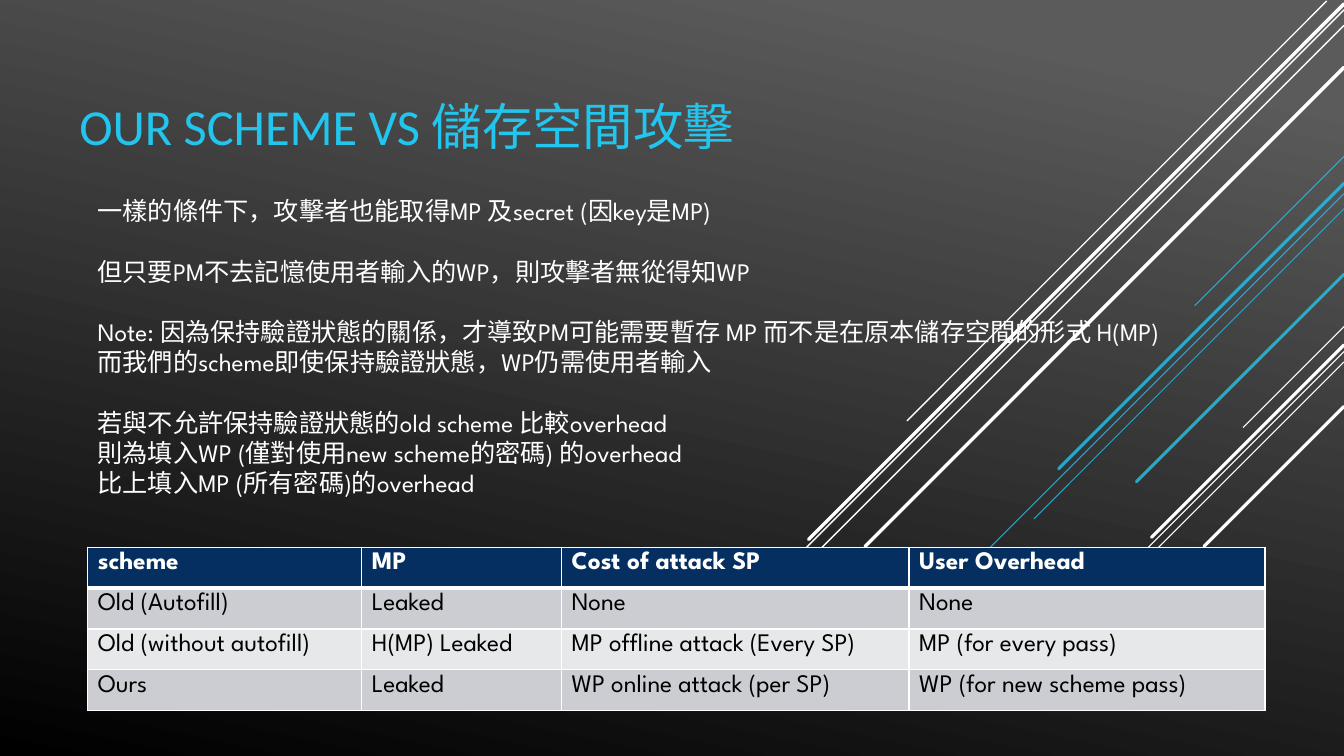
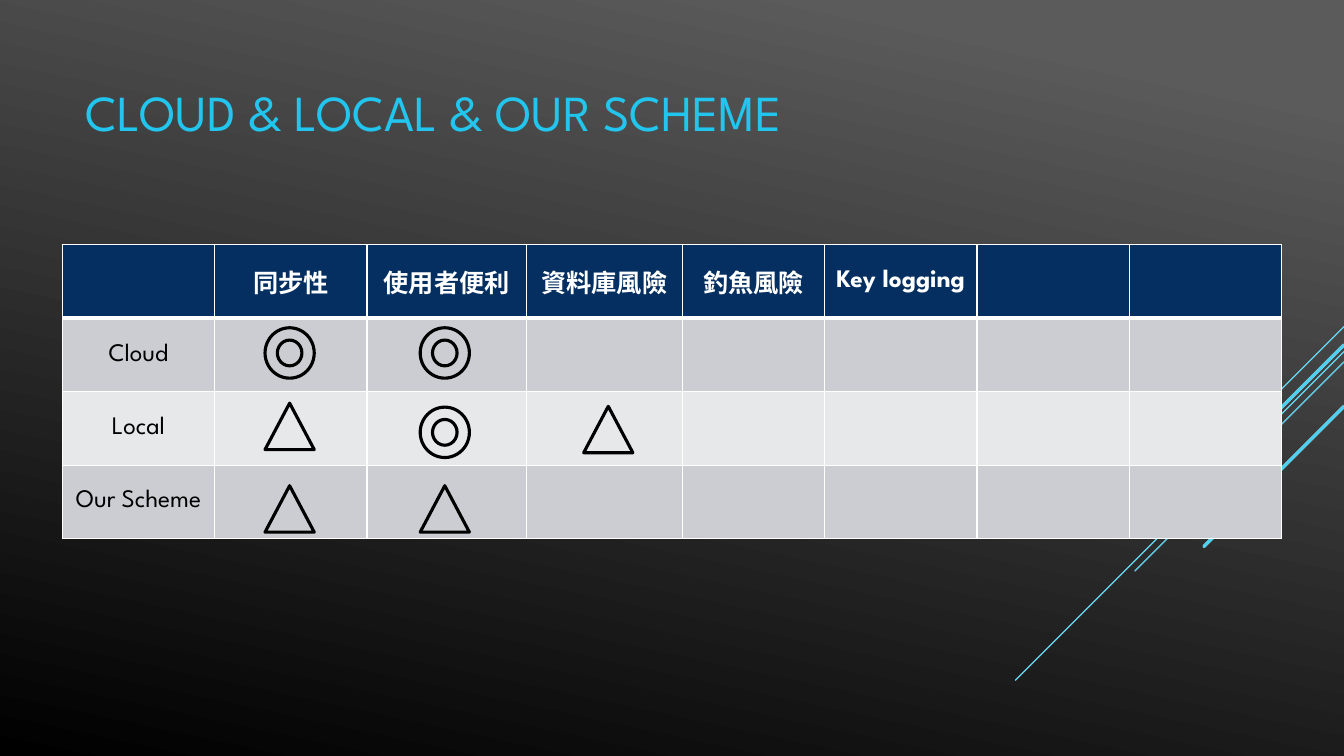
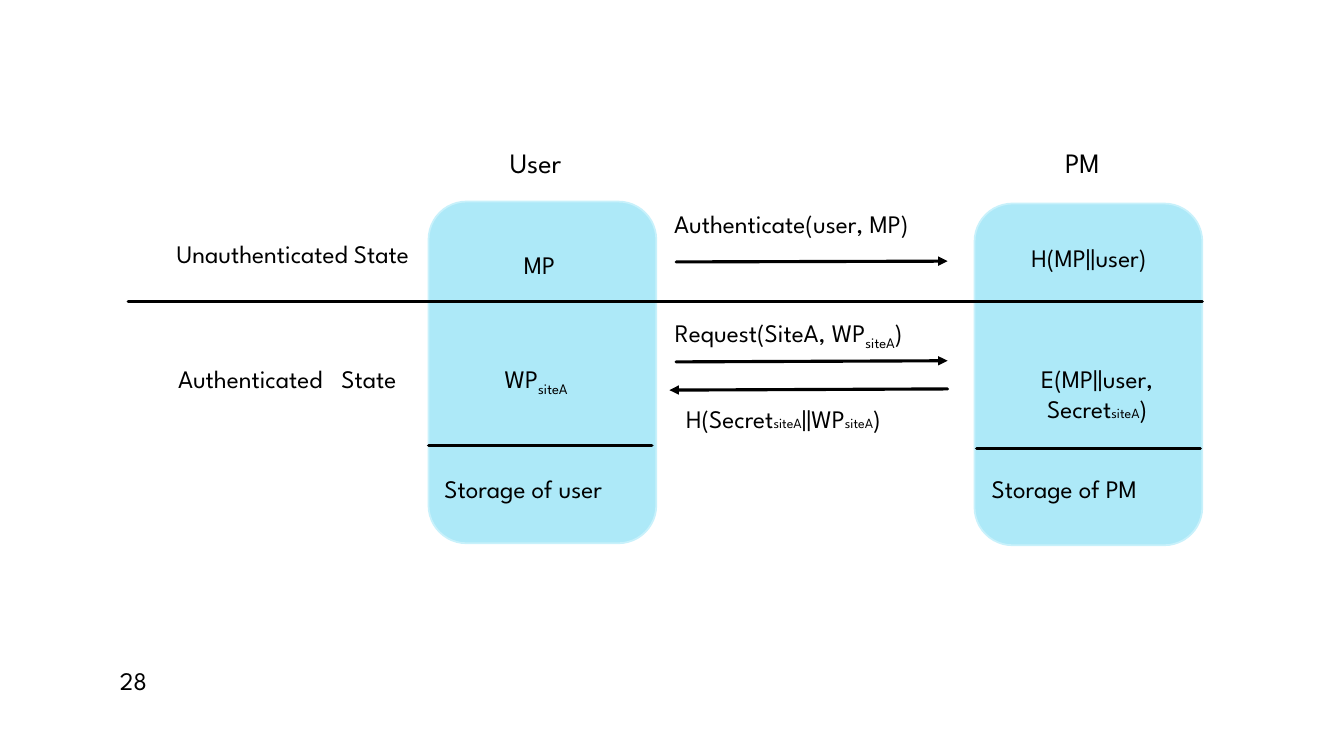
"""Build three slides on a password manager scheme: two comparison tables and a protocol diagram."""
from dataclasses import dataclass
from typing import Any, NamedTuple

from lxml import etree
from pptx import Presentation
from pptx.dml.color import RGBColor
from pptx.enum.shapes import MSO_CONNECTOR, MSO_SHAPE
from pptx.enum.text import MSO_ANCHOR, PP_ALIGN
from pptx.oxml.ns import qn
from pptx.slide import Slide
from pptx.util import Cm, Pt

STRAIGHT = MSO_CONNECTOR.STRAIGHT
DONUT, TRIANGLE = MSO_SHAPE.DONUT, MSO_SHAPE.ISOSCELES_TRIANGLE
ROUNDED = MSO_SHAPE.ROUNDED_RECTANGLE
LEFT, CENTER, RIGHT = PP_ALIGN.LEFT, PP_ALIGN.CENTER, PP_ALIGN.RIGHT
TOP, MIDDLE, BOTTOM = MSO_ANCHOR.TOP, MSO_ANCHOR.MIDDLE, MSO_ANCHOR.BOTTOM

SLIDE_WIDTH, SLIDE_HEIGHT = 33.87, 19.05


@dataclass(frozen=True)
class Theme:
    accent: RGBColor = RGBColor(0x22, 0xC5, 0xED)
    white: RGBColor = RGBColor(0xFF, 0xFF, 0xFF)
    black: RGBColor = RGBColor(0x00, 0x00, 0x00)
    smoke: RGBColor = RGBColor(0x5B, 0x5B, 0x5B)
    header: RGBColor = RGBColor(0x05, 0x2F, 0x61)
    bands: tuple[RGBColor, ...] = (RGBColor(0xCC, 0xCD, 0xD2), RGBColor(0xE7, 0xE8, 0xEA))
    storage: RGBColor = RGBColor(0xAD, 0xE9, 0xF8)
    storage_edge: RGBColor = RGBColor(0xC8, 0xF1, 0xFB)
    font: str = "League Spartan"
    title_font: str = "Calibri"
    title: float = 36
    heading: float = 20
    body: float = 18
    small: float = 10
    stroke: float = 2.25


THEME = Theme()


class Box(NamedTuple):
    left: float
    top: float
    width: float
    height: float

    def lengths(self) -> list[Cm]:
        return [Cm(value) for value in self]


class Ray(NamedTuple):
    top: float
    reach: float
    width: float
    right: float = SLIDE_WIDTH


class Stroke(NamedTuple):
    x1: float
    y1: float
    x2: float
    y2: float
    arrow: bool = False


class Piece(NamedTuple):
    text: str
    size: float = THEME.body
    extras: dict[str, str] = {}


class Line(NamedTuple):
    pieces: list[Piece]
    gap: float = 0


class Mark(NamedTuple):
    kind: Any
    left: float
    top: float


@dataclass(frozen=True)
class Label:
    box: Box
    lines: list[Line]
    align: Any = LEFT
    color: RGBColor = THEME.black
    font: str = THEME.font
    anchor: Any = TOP
    bottom_inset: float = 0.13


@dataclass(frozen=True)
class Grid:
    left: float
    top: float
    row_height: float
    columns: list[float]
    rows: list[list[str]]
    align: Any = LEFT
    anchor: Any = TOP


def apply(target: Any, formats: dict[str, Any]) -> None:
    for name, value in formats.items():
        setattr(target, name, value)


def label(box: Box, *pieces: Piece, align: Any = LEFT) -> Label:
    return Label(box, [Line(list(pieces))], align)


def sub(text: str) -> Piece:
    return Piece(text, extras={"baseline": "-25000"})


def draw_label(slide: Slide, item: Label) -> None:
    frame = slide.shapes.add_textbox(*item.box.lengths()).text_frame
    apply(frame, {"word_wrap": True, "vertical_anchor": item.anchor,
                  "margin_bottom": Cm(item.bottom_inset)})
    for index, line in enumerate(item.lines):
        paragraph = frame.add_paragraph() if index else frame.paragraphs[0]
        apply(paragraph, {"alignment": item.align, "space_before": Pt(line.gap)})
        for piece in line.pieces:
            run = paragraph.add_run()
            run.text = piece.text
            apply(run.font, {"name": item.font, "size": Pt(piece.size)})
            run.font.color.rgb = item.color
            for name, value in piece.extras.items():
                run._r.get_or_add_rPr().set(name, value)


def draw_title(slide: Slide, text: str, box: Box, font: str, anchor: Any, inset: float) -> None:
    draw_label(slide, Label(box, [Line([Piece(text, THEME.title)])], LEFT,
                            THEME.accent, font, anchor, inset))


def draw_stroke(slide: Slide, stroke: Stroke, color: RGBColor = THEME.black,
                width: float = THEME.stroke, opacity: int = 100) -> None:
    ends = [Cm(value) for value in stroke[:4]]
    connector = slide.shapes.add_connector(STRAIGHT, *ends)
    connector.line.color.rgb = color
    connector.line.width = Pt(width)
    properties = connector._element.spPr
    outline = properties.find(qn("a:ln"))
    outline.set("cap", "rnd")
    if opacity < 100:
        tint = outline.find(f".//{qn('a:srgbClr')}")
        etree.SubElement(tint, qn("a:alpha"), val=str(opacity * 1000))
    if stroke.arrow:
        etree.SubElement(outline, qn("a:tailEnd"), type="triangle")
    etree.SubElement(properties, qn("a:effectLst"))


def draw_rays(slide: Slide, rays: list[Ray], color: RGBColor, opacity: int = 100) -> None:
    for ray in rays:
        diagonal = Stroke(ray.right, ray.top, ray.right - ray.reach, ray.top + ray.reach)
        draw_stroke(slide, diagonal, color, ray.width, opacity)


def draw_shape(slide: Slide, kind: Any, box: Box, edge: RGBColor, width: float,
               fill: RGBColor | None = None) -> None:
    shape = slide.shapes.add_shape(kind, *box.lengths())
    shape.shadow.inherit = False
    if fill is None:
        shape.fill.background()
    else:
        shape.fill.solid()
        shape.fill.fore_color.rgb = fill
    shape.line.color.rgb = edge
    shape.line.width = Pt(width)


def draw_borders(cell: Any, widths: dict[str, float]) -> None:
    properties = cell._tc.get_or_add_tcPr()
    for side, width in widths.items():
        border = etree.SubElement(properties, qn(f"a:ln{side}"), w=str(Pt(width)))
        paint = etree.SubElement(border, qn("a:solidFill"))
        etree.SubElement(paint, qn("a:srgbClr"), val=str(THEME.white))


def draw_grid(slide: Slide, grid: Grid) -> None:
    box = Box(grid.left, grid.top, sum(grid.columns), grid.row_height * len(grid.rows))
    table = slide.shapes.add_table(len(grid.rows), len(grid.columns), *box.lengths()).table
    for column, width in zip(table.columns, grid.columns):
        column.width = Cm(width)
    for index, texts in enumerate(grid.rows):
        table.rows[index].height = Cm(grid.row_height)
        is_header = index == 0
        fill = THEME.header if is_header else THEME.bands[(index - 1) % 2]
        widths = {"L": 1, "R": 1, "T": 3 if index == 1 else 1, "B": 3 if is_header else 1}
        for position, text in enumerate(texts):
            cell = table.cell(index, position)
            draw_borders(cell, widths)
            cell.fill.solid()
            cell.fill.fore_color.rgb = fill
            cell.vertical_anchor = grid.anchor
            if text:
                paragraph = cell.text_frame.paragraphs[0]
                paragraph.alignment = grid.align
                run = paragraph.add_run()
                run.text = text
                apply(run.font, {"name": THEME.font, "size": Pt(THEME.body), "bold": is_header})
                run.font.color.rgb = THEME.white if is_header else THEME.black


CORNER_RAYS = [Ray(8.23, 2.54, 0.75), Ray(8.86, 8.28, 0.75), Ray(9.12, 5.27, 0.75),
               Ray(8.69, 4.85, 2.25), Ray(10.24, 3.53, 2.25)]
UPPER_RAYS = [Ray(0.03, 10.57, 1, 33.43), Ray(0.25, 16.89, 1), Ray(0.64, 13.77, 1),
              Ray(0.1, 13.49, 2.5), Ray(1.7, 12.07, 2.5)]
MIDDLE_RAYS = [Ray(3.94, 3.76, 0.75), Ray(4.88, 12.27, 0.75), Ray(5.26, 7.81, 0.75),
               Ray(4.62, 7.19, 2.25), Ray(6.91, 5.23, 2.25)]

LINE_GAP = 21.6
ARGUMENT = [
    Line([Piece("一樣的條件下，攻擊者也能取得MP 及secret (因key是MP)")]),
    Line([Piece("但只要PM不去記憶使用者輸入的WP，則攻擊者無從得知WP")], LINE_GAP),
    Line([Piece("Note: 因為保持驗證狀態的關係，才導致PM可能需要暫存 MP 而不是在原本儲存空間的形式 H(MP)")],
         LINE_GAP),
    Line([Piece("而我們的scheme即使保持驗證狀態，WP仍需使用者輸入")]),
    Line([Piece("若與不允許保持驗證狀態的old scheme 比較overhead")], LINE_GAP),
    Line([Piece("則為填入WP (僅對使用new scheme的密碼) 的overhead")]),
    Line([Piece("比上填入MP (所有密碼)的overhead")]),
]

ATTACK_COSTS = Grid(2.21, 13.79, 1.03, [6.91, 5.03, 8.76, 8.97], [
    ["scheme", "MP", "Cost of attack SP", "User Overhead"],
    ["Old (Autofill)", "Leaked", "None", "None"],
    ["Old (without autofill)", "H(MP) Leaked", "MP offline attack (Every SP)", "MP (for every pass)"],
    ["Ours", "Leaked", "WP online attack (per SP)", "WP (for new scheme pass)"],
])

RATINGS = Grid(1.57, 6.17, 1.85, [3.84, 3.84, 4.01, 3.94, 3.58, 3.84, 3.84, 3.84], [
    ["", "同步性", "使用者便利", "資料庫風險", "釣魚風險", "Key logging", "", ""],
    *[[scheme] + [""] * 7 for scheme in ("Cloud", "Local", "Our Scheme")],
], CENTER, MIDDLE)

SYNC, EASE, DATABASE = 6.68, 10.59, 14.71
MARK_HEIGHTS = {DONUT: 1.27, TRIANGLE: 1.17}
MARKS = [Mark(DONUT, SYNC, 8.26), Mark(DONUT, EASE, 8.26),
         Mark(TRIANGLE, SYNC, 10.16), Mark(DONUT, EASE, 10.26), Mark(TRIANGLE, DATABASE, 10.24),
         Mark(TRIANGLE, SYNC, 12.24), Mark(TRIANGLE, EASE, 12.24)]

STORES = [Box(10.8, 5.08, 5.74, 8.61), Box(24.56, 5.13, 5.74, 8.61)]
SITE = Piece("siteA", THEME.small)
PROTOCOL_LABELS = [
    label(Box(1.75, 5.89, 8.81, 1.02), Piece("Unauthenticated State"), align=RIGHT),
    label(Box(2.39, 9.02, 7.85, 1.8), Piece("Authenticated"), Piece(" ", extras={"spc": "900"}),
          Piece("State"), align=RIGHT),
    label(Box(12.6, 3.53, 2.13, 1.12), Piece("User", THEME.heading)),
    label(Box(26.59, 3.53, 2.13, 1.12), Piece("PM", THEME.heading)),
    label(Box(12.95, 6.15, 7.62, 1.02), Piece("MP")),
    label(Box(24.74, 5.99, 5.41, 1.02), Piece("H(MP||user)"), align=CENTER),
    label(Box(12.47, 9.02, 3.96, 1.02), Piece("WP"), sub("siteA")),
    label(Box(24.87, 9.02, 5.56, 1.8), Piece("E(MP||user, Secret"), SITE, Piece(")"), align=CENTER),
    label(Box(10.95, 11.79, 7.37, 1.07), Piece("Storage of user")),
    label(Box(24.74, 11.79, 7.37, 1.07), Piece("Storage of PM")),
    label(Box(16.74, 5.13, 7.8, 1.02), Piece("Authenticate(user, MP)")),
    label(Box(16.76, 7.87, 8.13, 1.02), Piece("Request(SiteA, WP"), sub("siteA"), Piece(")")),
    label(Box(17.04, 10.03, 7.37, 1.07), Piece("H(Secret"), SITE, Piece("||WP"), SITE, Piece(")")),
    label(Box(2.77, 16.64, 7.62, 1.02), Piece("28")),
]
PROTOCOL_STROKES = [
    Stroke(3.23, 7.59, 30.3, 7.59),
    Stroke(10.8, 11.23, 16.43, 11.23),
    Stroke(24.61, 11.3, 30.25, 11.3),
    Stroke(17.04, 6.6, 23.88, 6.58, True),
    Stroke(17.04, 9.12, 23.88, 9.09, True),
    Stroke(23.88, 9.8, 16.87, 9.83, True),
]


def add_slide(deck: Any) -> Slide:
    return deck.slides.add_slide(deck.slide_layouts[6])


def add_dark_slide(deck: Any) -> Slide:
    slide = add_slide(deck)
    fill = slide.background.fill
    fill.gradient()
    fill.gradient_angle = 258
    for stop, color, position in zip(fill.gradient_stops, (THEME.smoke, THEME.black), (0.1, 1.0)):
        stop.color.rgb = color
        stop.position = position
    draw_rays(slide, CORNER_RAYS, THEME.white)
    return slide


def build_attack_slide(deck: Any) -> None:
    slide = add_dark_slide(deck)
    draw_rays(slide, UPPER_RAYS, THEME.white)
    draw_rays(slide, MIDDLE_RAYS, THEME.accent, 80)
    draw_title(slide, "OUR SCHEME VS 儲存空間攻擊", Box(1.75, 1.09, 23.01, 2.97),
               THEME.title_font, BOTTOM, 0.13)
    draw_label(slide, Label(Box(2.21, 4.8, 28.55, 8.71), ARGUMENT, color=THEME.white))
    draw_grid(slide, ATTACK_COSTS)


def build_rating_slide(deck: Any) -> None:
    slide = add_dark_slide(deck)
    draw_title(slide, "CLOUD & LOCAL & OUR SCHEME", Box(1.91, 1.35, 23.7, 4.19),
               THEME.font, MIDDLE, 1.4)
    draw_rays(slide, CORNER_RAYS, THEME.accent, 80)
    draw_grid(slide, RATINGS)
    for mark in MARKS:
        box = Box(mark.left, mark.top, 1.24, MARK_HEIGHTS[mark.kind])
        draw_shape(slide, mark.kind, box, THEME.black, THEME.stroke)


def build_protocol_slide(deck: Any) -> None:
    slide = add_slide(deck)
    for store in STORES:
        draw_shape(slide, ROUNDED, store, THEME.storage_edge, 1.25, THEME.storage)
    for item in PROTOCOL_LABELS:
        draw_label(slide, item)
    for stroke in PROTOCOL_STROKES:
        draw_stroke(slide, stroke)


def main() -> None:
    deck = Presentation()
    apply(deck, {"slide_width": Cm(SLIDE_WIDTH), "slide_height": Cm(SLIDE_HEIGHT)})
    build_attack_slide(deck)
    build_rating_slide(deck)
    build_protocol_slide(deck)
    deck.save("out.pptx")


if __name__ == "__main__":
    main()
